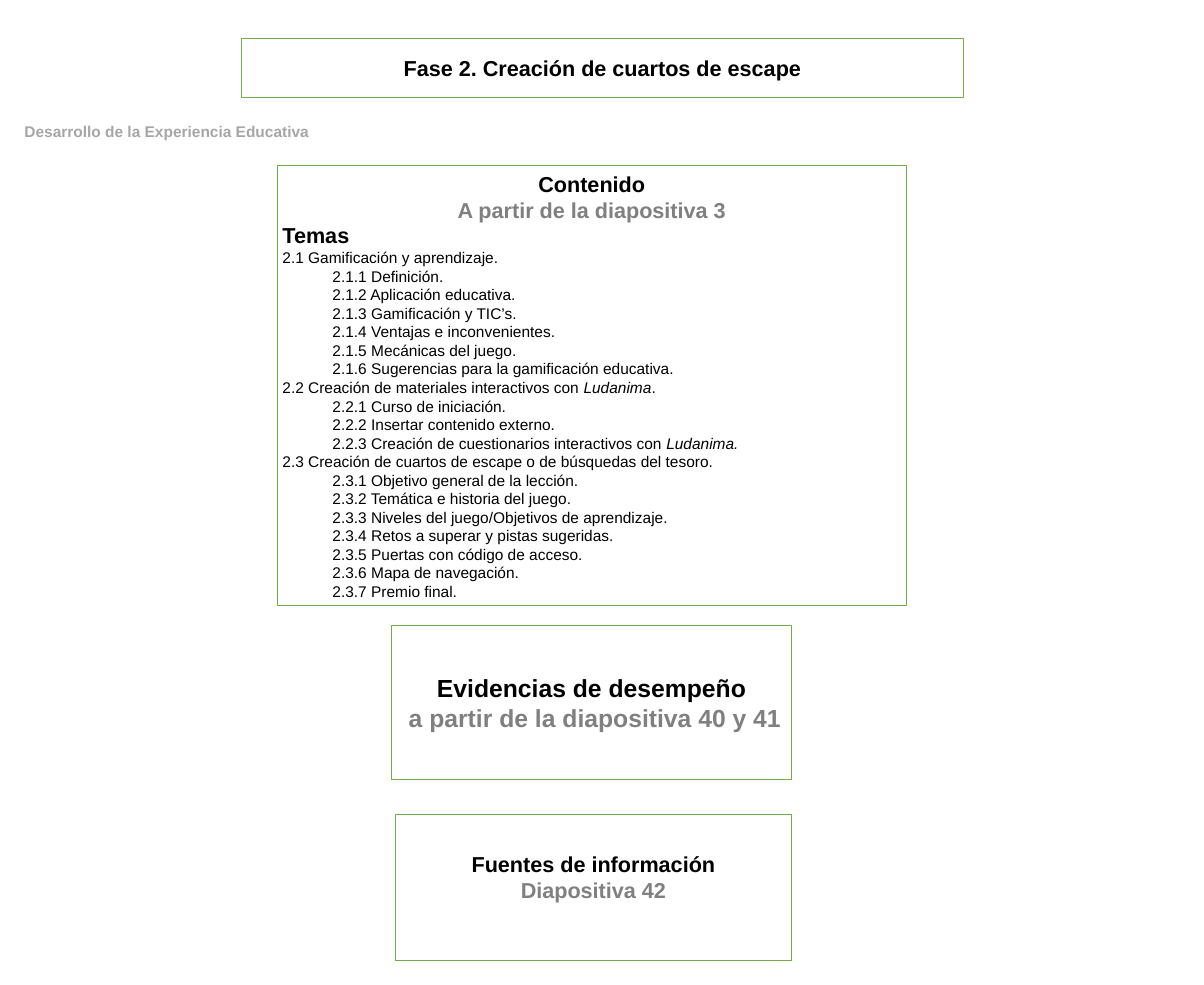
import pptx
import pptx.util
from pptx.dml.color import RGBColor
from pptx.enum.shapes import MSO_SHAPE
from pptx.enum.text import MSO_ANCHOR, PP_ALIGN
from pptx.util import Inches

BLACK, GREY, PALE_GREY, GREEN, WHITE = "000000", "808080", "A6A6A6", "70AD47", "FFFFFF"
SUBTOPIC_INDENT = 0.9

# Text between asterisks is italic.
TOPICS = [
    ("Gamificación y aprendizaje.", [
        "Definición.",
        "Aplicación educativa.",
        "Gamificación y TIC’s.",
        "Ventajas e inconvenientes.",
        "Mecánicas del juego.",
        "Sugerencias para la gamificación educativa.",
    ]),
    ("Creación de materiales interactivos con *Ludanima*.", [
        "Curso de iniciación.",
        "Insertar contenido externo.",
        "Creación de cuestionarios interactivos con *Ludanima.*",
    ]),
    ("Creación de cuartos de escape o de búsquedas del tesoro.", [
        "Objetivo general de la lección.",
        "Temática e historia del juego.",
        "Niveles del juego/Objetivos de aprendizaje.",
        "Retos a superar y pistas sugeridas.",
        "Puertas con código de acceso.",
        "Mapa de navegación.",
        "Premio final.",
    ]),
]

# Left, top, width, height
TITLE_AREA = (4.34, 0.69, 12.98, 1.07)
SUBTITLE_AREA = (-0.37, 2.12, 6.74, 0.5)
CONTENT_AREA = (4.98, 2.97, 11.32, 7.93)
EVIDENCE_AREA = (7.04, 11.25, 7.2, 2.78)
SOURCES_AREA = (7.11, 14.65, 7.12, 2.63)

TITLE_LINES = [("Fase 2. Creación de cuartos de escape", {})]
SUBTITLE_LINES = [("Desarrollo de la Experiencia Educativa", {"size": 20, "color": PALE_GREY})]
CONTENT_HEADING = [
    ("Contenido", {}),
    ("A partir de la diapositiva 3", {"color": GREY}),
    ("Temas", {"align": PP_ALIGN.LEFT}),
]
EVIDENCE_LINES = [
    ("Evidencias de desempeño", {"size": 32}),
    ("a partir de la diapositiva 40 y 41", {"size": 32, "color": GREY, "indent": 0.12}),
]
SOURCES_LINES = [
    ("Fuentes de información", {}),
    ("Diapositiva 42", {"color": GREY}),
]


def rgb(color):
    return RGBColor.from_string(color)


def topic_lines():
    """Number the topics and subtopics of phase 2."""
    plain = {"size": 20, "bold": False, "align": PP_ALIGN.LEFT}
    lines = []
    for number, (topic, subtopics) in enumerate(TOPICS, 1):
        lines.append((f"2.{number} {topic}", plain))
        for subnumber, subtopic in enumerate(subtopics, 1):
            lines.append((f"2.{number}.{subnumber} {subtopic}",
                          {**plain, "level": 1, "indent": SUBTOPIC_INDENT}))
    return lines


def write(paragraph, text, size=28, color=BLACK, bold=True,
          align=PP_ALIGN.CENTER, level=0, indent=0):
    paragraph.alignment = align
    paragraph.level = level
    properties = paragraph._p.get_or_add_pPr()
    properties.set("marL", str(Inches(indent)))
    properties.set("indent", "0")
    for position, part in enumerate(text.split("*")):
        if not part:
            continue
        run = paragraph.add_run()
        run.text = part
        run.font.name = "Arial"
        run.font.size = pptx.util.Pt(size)
        run.font.bold = bold
        run.font.italic = position % 2 == 1
        run.font.color.rgb = rgb(color)


def fill_text(shape, lines, bottom=0.05):
    frame = shape.text_frame
    frame.word_wrap = True
    frame.vertical_anchor = MSO_ANCHOR.MIDDLE
    frame.margin_bottom = Inches(bottom)
    for index, (text, style) in enumerate(lines):
        paragraph = frame.add_paragraph() if index else frame.paragraphs[0]
        write(paragraph, text, **style)


def add_box(slide, area, lines, bottom=0.05):
    shape = slide.shapes.add_shape(MSO_SHAPE.RECTANGLE, *map(Inches, area))
    shape.shadow.inherit = False
    shape.fill.solid()
    shape.fill.fore_color.rgb = rgb(WHITE)
    shape.line.color.rgb = rgb(GREEN)
    shape.line.width = pptx.util.Pt(1)
    fill_text(shape, lines, bottom)


def main():
    presentation = pptx.Presentation()
    presentation.slide_width = Inches(21.65)
    presentation.slide_height = Inches(17.72)
    slide = presentation.slides.add_slide(presentation.slide_layouts[6])

    add_box(slide, TITLE_AREA, TITLE_LINES)
    add_box(slide, CONTENT_AREA, CONTENT_HEADING + topic_lines())
    add_box(slide, SOURCES_AREA, SOURCES_LINES, bottom=0.43)
    add_box(slide, EVIDENCE_AREA, EVIDENCE_LINES)
    subtitle = slide.shapes.add_textbox(*map(Inches, SUBTITLE_AREA))
    fill_text(subtitle, SUBTITLE_LINES)

    presentation.save("out.pptx")


if __name__ == "__main__":
    main()
